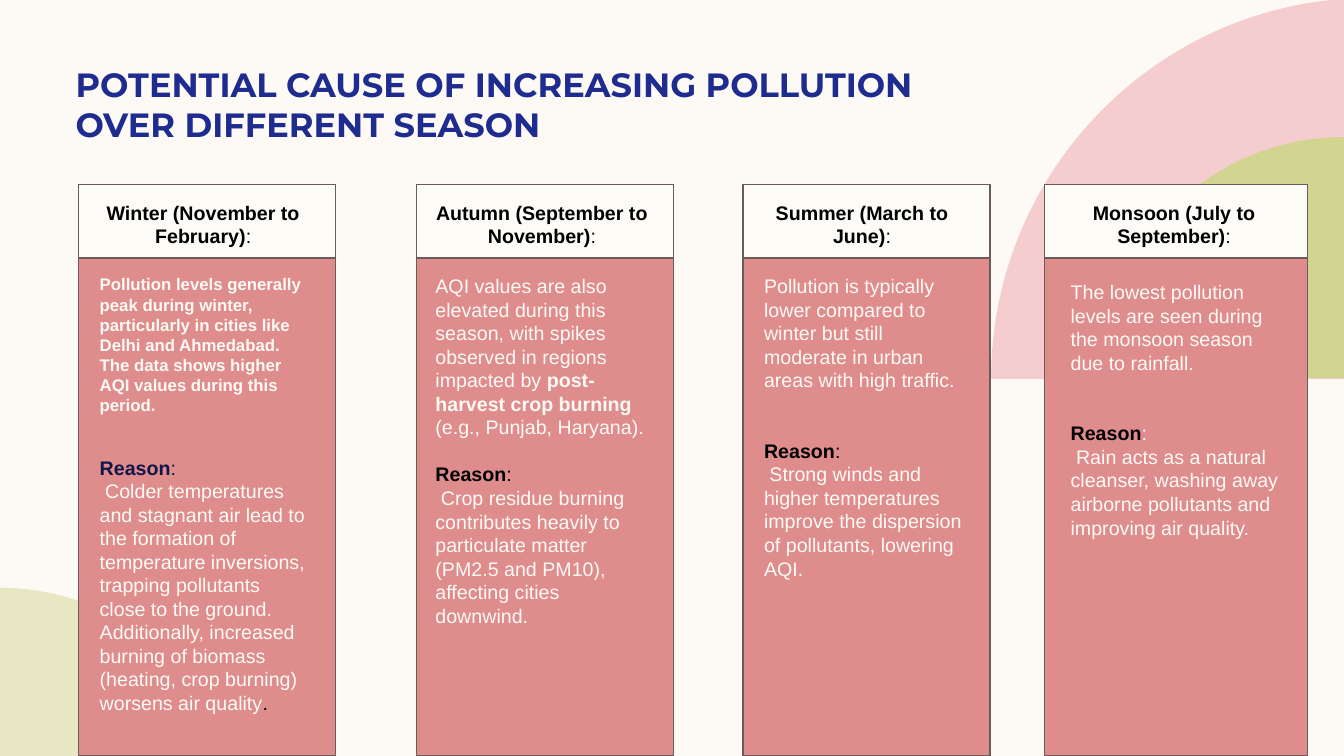
import pptx
import pptx.util
import pptx.dml.color
import pptx.enum.shapes
import pptx.enum.text
import lxml.etree

# Content: text runs are (text, colour, bold)
TITLE = "POTENTIAL CAUSE OF INCREASING POLLUTION OVER DIFFERENT SEASON"
HEX = {"cream": "FDFAF6", "head": "FDFBF6", "rose": "DF8C8C", "edge": "6B5A5A",
       "pink": "F5CDCE", "green": "D2D592", "blue": "1F2C8F", "navy": "101648",
       "black": "000000"}
CARDS = [
    {"name": "Winter (November to February)", "size": 12, "gap": 2,
     "facts": [("Pollution levels generally peak during winter, particularly in cities "
                "like Delhi and Ahmedabad. The data shows higher AQI values during this "
                "period.", "cream", True)],
     "label": ("navy", "navy"),
     "cause": [(" Colder temperatures and stagnant air lead to the formation of "
                "temperature inversions, trapping pollutants close to the ground. "
                "Additionally, increased burning of biomass (heating, crop burning) "
                "worsens air quality", "head", False), (".", "black", False)]},
    {"name": "Autumn (September to November)", "size": 14, "gap": 1,
     "facts": [("AQI values are also elevated during this season, with spikes observed "
                "in regions impacted by ", "cream", False),
               ("post-harvest crop burning", "cream", True),
               (" (e.g., Punjab, Haryana).", "cream", False)],
     "label": ("black", "black"),
     "cause": [(" Crop residue burning contributes heavily to particulate matter (PM2.5 "
                "and PM10), affecting cities downwind.", "cream", False)]},
    {"name": "Summer (March to June)", "size": 14, "gap": 2,
     "facts": [("Pollution is typically lower compared to winter but still moderate in "
                "urban areas with high traffic.", "cream", False)],
     "label": ("black", "black"),
     "cause": [(" Strong winds and higher temperatures improve the dispersion of "
                "pollutants, lowering AQI.", "cream", False)]},
    {"name": "Monsoon (July to September)", "size": 14, "gap": 2,
     "facts": [("The lowest pollution levels are seen during the monsoon season due to "
                "rainfall.", "cream", False)],
     "label": ("black", "cream"),
     "cause": [(" Rain acts as a natural cleanser, washing away airborne pollutants and "
                "improving air quality.", "cream", False)]},
]

# Grid in inches
WIDE, HIGH = 13.33, 7.5
TOP, HEAD = 1.83, 0.73
# card left, card width, heading left, heading width, body left, body top, body width, body height
COLS = [(0.78, 2.55, 0.89, 2.25, 0.89, 2.67, 2.25, 4.27),
        (4.13, 2.55, 4.22, 2.31, 4.22, 2.67, 2.31, 4.11),
        (7.37, 2.45, 7.48, 2.14, 7.48, 2.67, 2.23, 3.16),
        (10.36, 2.61, 10.45, 2.39, 10.52, 2.73, 2.32, 2.69)]
# colour, opacity, start, two curve handles, curve end, corners
ARCS = [("pink", 100, (9.83, 3.76), [(9.83, 1.81), (11.31, 0.2)], (13.2, 0),
         [(WIDE, 0), (WIDE, 3.76)]),
        ("green", 100, (10.93, 3.75), [(10.93, 2.43), (12, 1.36)], (WIDE, 1.36),
         [(WIDE, 3.75)]),
        ("green", 50, (-0.02, 5.83), [(1.01, 5.83), (1.9, 6.46)], (2.27, 7.35),
         [(2.33, HIGH), (-0.02, HIGH)])]
LINE = 1.2  # line height per point of type

inch, pt = pptx.util.Inches, pptx.util.Pt
qn = pptx.oxml.ns.qn


def tint(key):
    return pptx.dml.color.RGBColor.from_string(HEX[key])


def paint(shape, key):
    shape.shadow.inherit = False
    shape.fill.solid()
    shape.fill.fore_color.rgb = tint(key)


def arc(slide, key, solid, start, pulls, end, ends):
    dots = [(inch(x), inch(y)) for x, y in [start, end] + ends]
    form = slide.shapes.build_freeform(*dots[0])
    form.add_line_segments(dots[1:], close=True)
    shape = form.convert_to_shape()
    paint(shape, key)
    shape.line.fill.background()
    # Bend the first segment
    bend = next(shape.element.spPr.iter(qn("a:lnTo")))
    curve = lxml.etree.Element(qn("a:cubicBezTo"))
    bend.getparent().replace(bend, curve)
    for x, y in pulls:
        lxml.etree.SubElement(curve, qn("a:pt"), x=str(inch(x) - shape.left),
                              y=str(inch(y) - shape.top))
    curve.append(bend[0])
    if solid < 100:
        fill = next(shape.element.spPr.iter(qn("a:srgbClr")))
        lxml.etree.SubElement(fill, qn("a:alpha"), val=str(solid * 1000))


def panel(slide, left, wide, high, key):
    kind = pptx.enum.shapes.MSO_SHAPE.RECTANGLE
    shape = slide.shapes.add_shape(kind, inch(left), inch(TOP), inch(wide), inch(high))
    paint(shape, key)
    shape.line.color.rgb = tint("edge")
    shape.line.width = pt(1)


def write(slide, left, top, wide, high, paras):
    """Each paragraph is (runs, size, space before, alignment)."""
    box = slide.shapes.add_textbox(inch(left), inch(top), inch(wide), inch(high))
    frame = box.text_frame
    frame.word_wrap = True
    for i, (runs, size, gap, align) in enumerate(paras):
        para = frame.add_paragraph() if i else frame.paragraphs[0]
        para.font.name, para.font.size = "Arial", pt(size)
        para.space_before = pt(gap)
        para.alignment = align
        for text, key, bold in runs:
            run = para.add_run()
            run.text = text
            run.font.bold = bold
            run.font.color.rgb = tint(key)


def main():
    deck = pptx.Presentation()
    deck.slide_width, deck.slide_height = inch(WIDE), inch(HIGH)
    slide = deck.slides.add_slide(deck.slide_layouts[5])
    slide.background.fill.solid()
    slide.background.fill.fore_color.rgb = tint("cream")

    # Background arcs
    for item in ARCS:
        arc(slide, *item)

    # Title
    title = slide.shapes.title
    title.left, title.top, title.width, title.height = map(inch, (0.65, 0.32, 8.58, 1.11))
    frame = title.text_frame
    frame.text = TITLE
    frame.word_wrap = True
    frame.auto_size = pptx.enum.text.MSO_AUTO_SIZE.NONE
    frame.vertical_anchor = pptx.enum.text.MSO_ANCHOR.BOTTOM
    frame.margin_top = frame.margin_bottom = 0
    para = frame.paragraphs[0]
    para.alignment = pptx.enum.text.PP_ALIGN.LEFT
    para.font.name, para.font.size, para.font.bold = "Montserrat", pt(24), True
    para.font.color.rgb = tint("blue")

    # Season cards
    mid, side = pptx.enum.text.PP_ALIGN.CENTER, pptx.enum.text.PP_ALIGN.LEFT
    for card, (left, wide, hx, hw, bx, by, bw, bh) in zip(CARDS, COLS):
        panel(slide, left, wide, HIGH - TOP, "rose")
        panel(slide, left, wide, HEAD, "head")
        name = [(card["name"], "black", True), (":", "black", False)]
        write(slide, hx, 1.94, hw, 0.57, [(name, 14, 0, mid)])
        word, colon = card["label"]
        label = [("Reason", word, True), (":", colon, False)]
        gap = round(card["gap"] * card["size"] * LINE, 1)
        write(slide, bx, by, bw, bh, [(card["facts"], card["size"], 0, side),
                                      (label, 14, gap, side),
                                      (card["cause"], 14, 0, side)])

    deck.save("out.pptx")


if __name__ == "__main__":
    main()
